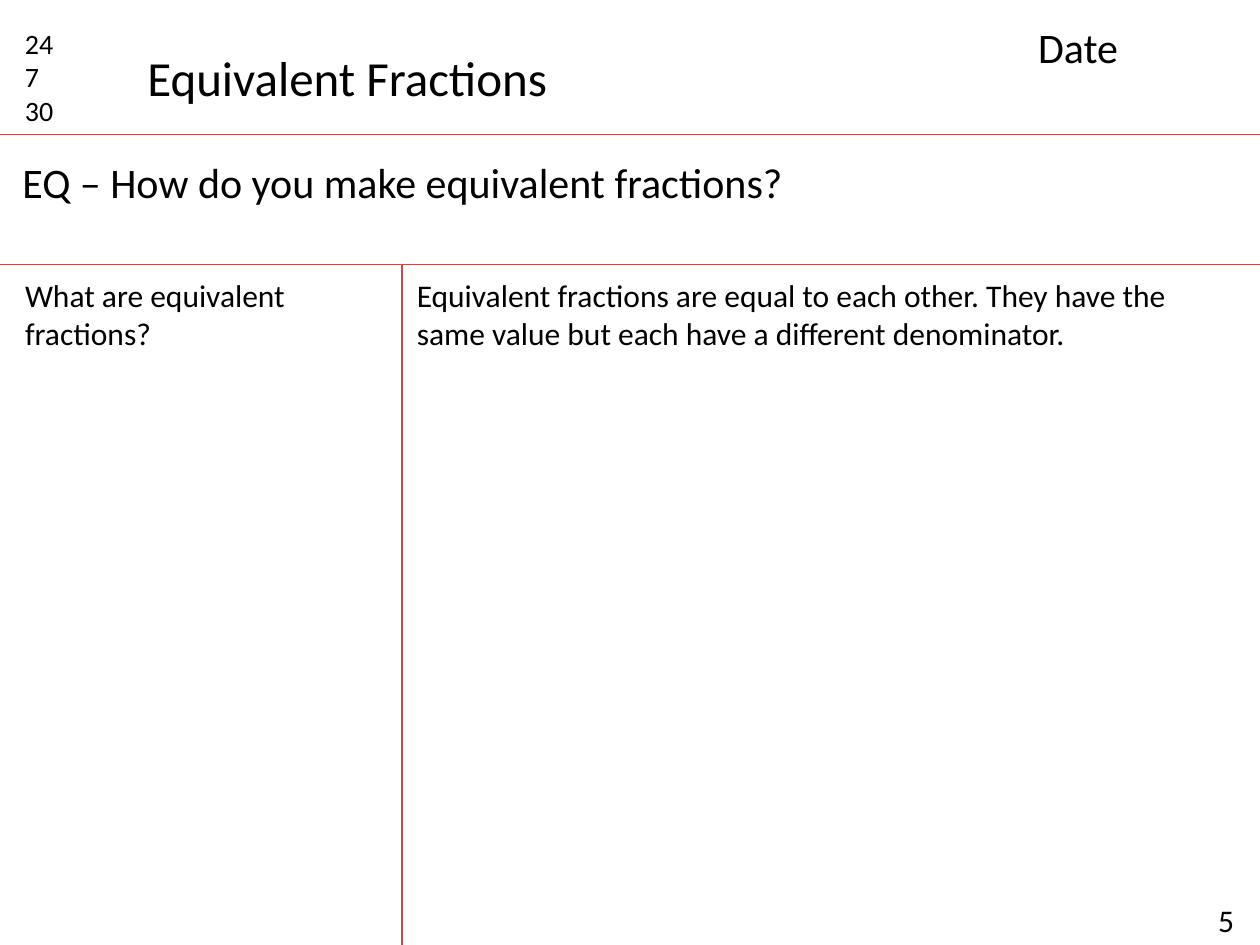
"""Build a two-column notes slide about equivalent fractions."""
from pptx import Presentation
from pptx.dml.color import RGBColor
from pptx.enum import shapes, text
from pptx.oxml.ns import qn
from pptx.util import Inches, Pt
from lxml import etree

COLORS = {"ink": "000000", "rule": "BF4C48", "page": "FFFFFF"}
FONT = "Calibri"
HEADER_Y, QUESTION_Y, DIVIDER_X = 1.07, 2.1, 3.19


def fill_text(holder, lines, size, wrap=True):
    """Write left-aligned lines from the top of a text holder."""
    frame = holder.text_frame
    frame.word_wrap = wrap
    frame.auto_size = text.MSO_AUTO_SIZE.SHAPE_TO_FIT_TEXT
    frame.vertical_anchor = text.MSO_ANCHOR.TOP
    frame.text = "\n".join(lines)
    for paragraph in frame.paragraphs:
        paragraph.alignment = text.PP_ALIGN.LEFT
        paragraph.font.name = FONT
        paragraph.font.size = Pt(size)
        paragraph.font.color.rgb = RGBColor.from_string(COLORS["ink"])


def add_note(slide, box, lines, size):
    """Add a wrapped text box at left, top, width, height."""
    note = slide.shapes.add_textbox(*map(Inches, box))
    fill_text(note, lines, size)


def place_title(slide, box, wording, size):
    """Move and format the title placeholder."""
    title = slide.shapes.title
    title.left, title.top, title.width, title.height = map(Inches, box)
    fill_text(title, [wording], size, wrap=False)


def add_rule(slide, start, end):
    """Add a thin ruled line between two points."""
    rule = slide.shapes.add_connector(
        shapes.MSO_CONNECTOR.STRAIGHT, *map(Inches, start + end))
    rule.line.color.rgb = RGBColor.from_string(COLORS["rule"])
    rule.line.width = Pt(0.75)
    etree.SubElement(rule._element.spPr, qn("a:effectLst"))


def main():
    """Build and save the slide."""
    deck = Presentation()
    deck.slide_width, deck.slide_height = Inches(10), Inches(7.5)
    slide = deck.slides.add_slide(deck.slide_layouts[5])
    slide.background.fill.solid()
    slide.background.fill.fore_color.rgb = RGBColor.from_string(COLORS["page"])

    for y in (HEADER_Y, QUESTION_Y):
        add_rule(slide, (0, y), (10, y))
    add_rule(slide, (DIVIDER_X, QUESTION_Y), (DIVIDER_X, 7.69))

    place_title(slide, (1.07, 0.33, 3.41, 0.57), "Equivalent Fractions", 28)
    notes = [
        ((9.57, 7.1, 0.6, 0.4), ["5"], 18),
        ((0.1, 0.16, 0.63, 0.91), ["24", "7", "30"], 16),
        ((8.14, 0.12, 1.73, 0.5), ["Date"], 24),
        ((0.08, 1.19, 8.9, 0.5),
         ["EQ – How do you make equivalent fractions?"], 24),
        ((0.1, 2.14, 3.19, 0.71), ["What are equivalent fractions?"], 18),
        ((3.21, 2.14, 6.64, 0.71),
         ["Equivalent fractions are equal to each other. They have the same "
          "value but each have a different denominator."], 18),
    ]
    for box, lines, size in notes:
        add_note(slide, box, lines, size)
    deck.save("out.pptx")


if __name__ == "__main__":
    main()
